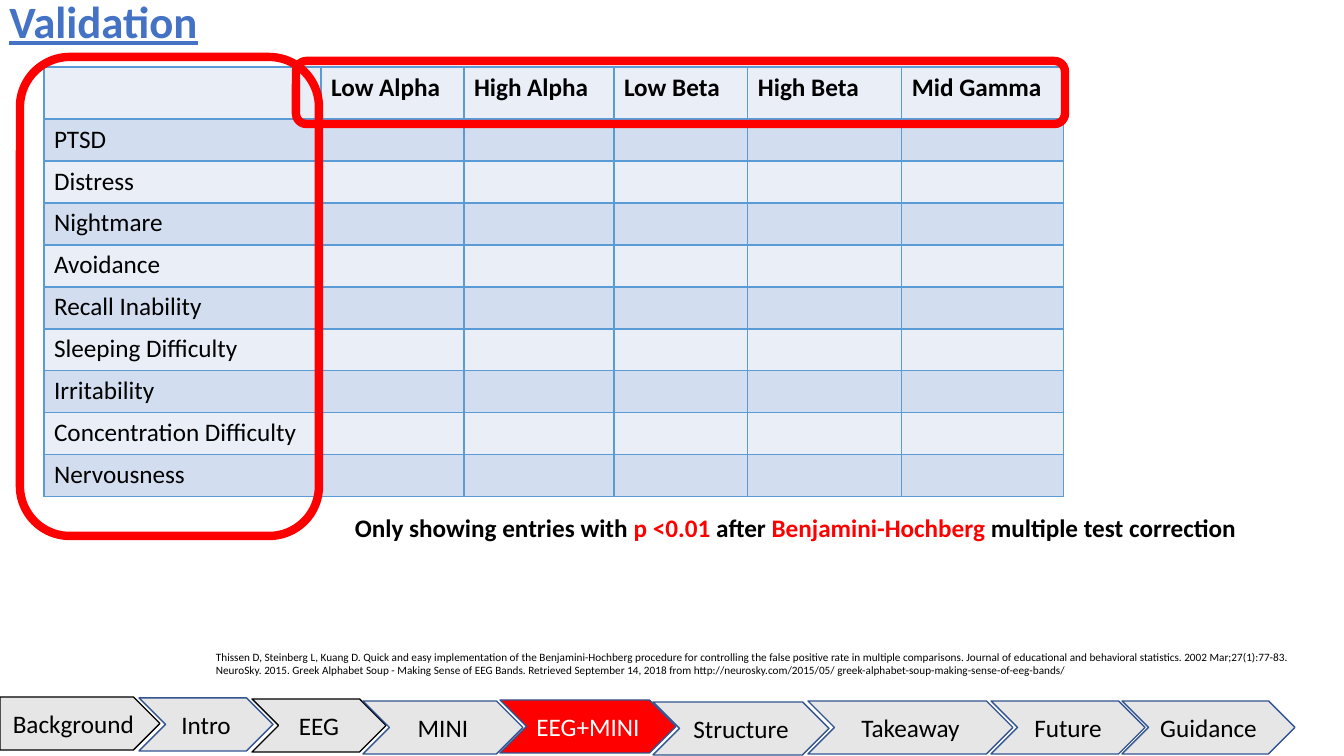
from lxml import etree
from pptx import Presentation
from pptx.dml.color import RGBColor
from pptx.enum.shapes import MSO_SHAPE
from pptx.enum.text import MSO_ANCHOR, PP_ALIGN
from pptx.oxml.ns import qn
from pptx.util import Pt

PX = 9071.43  # EMU in one px
CENTER, LEFT = PP_ALIGN.CENTER, PP_ALIGN.LEFT
MIDDLE = MSO_ANCHOR.MIDDLE
CHEVRON, PENTAGON = MSO_SHAPE.CHEVRON, MSO_SHAPE.PENTAGON
ROUNDED = MSO_SHAPE.ROUNDED_RECTANGLE
COLORS = {
    "black": "000000", "white": "FFFFFF", "red": "FF0000", "title": "4472C4",
    "light": "EAEFF7", "band": "D2DEEF", "grid": "5B9BD5",
    "step": "E7E6E6", "outline": "325491",
}


def px(*lengths):
    return [round(length * PX) for length in lengths]


def write(para, pieces, size, bold=False, align=LEFT):
    """Fill a paragraph with (text, color) pieces."""
    para.alignment = align
    for text, color in pieces:
        span = para.add_run()
        span.text = text
        span.font.name = "Calibri"
        span.font.size = Pt(size)
        span.font.bold = bold
        span.font.color.rgb = RGBColor.from_string(COLORS[color])


deck = Presentation()
deck.slide_width, deck.slide_height = px(1344, 756)
page = deck.slides.add_slide(deck.slide_layouts[6])

# Table of symptoms against frequency bands
bands = ["", "Low Alpha", "High Alpha", "Low Beta", "High Beta", "Mid Gamma"]
symptoms = ["PTSD", "Distress", "Nightmare", "Avoidance", "Recall Inability",
            "Sleeping Difficulty", "Irritability", "Concentration Difficulty",
            "Nervousness"]
column_widths = [277, 143, 150, 134, 154, 162]
row_heights = [52] + [42] * len(symptoms)
table = page.shapes.add_table(
    len(row_heights), len(bands),
    *px(44, 67, sum(column_widths), sum(row_heights))).table
table.first_row = table.horz_banding = False
for column, width in zip(table.columns, px(*column_widths)):
    column.width = width
for row, height in zip(table.rows, px(*row_heights)):
    row.height = height

rows = [bands] + [[symptom] + [""] * (len(bands) - 1) for symptom in symptoms]
for row_index, texts in enumerate(rows):
    for column_index, text in enumerate(texts):
        cell = table.cell(row_index, column_index)
        properties = cell._tc.get_or_add_tcPr()
        for side in ("lnL", "lnR", "lnT", "lnB"):
            border = etree.SubElement(properties, qn("a:" + side), w=str(Pt(1)))
            fill = etree.SubElement(border, qn("a:solidFill"))
            etree.SubElement(fill, qn("a:srgbClr"), val=COLORS["grid"])
        cell.fill.solid()
        cell.fill.fore_color.rgb = RGBColor.from_string(
            COLORS["band" if row_index % 2 else "light"])
        if text:
            write(cell.text_frame.paragraphs[0], [(text, "black")], 18,
                  bold=row_index == 0)

# Red frames around the header row and the symptom column
for frame_place in [(296, 61, 769, 63), (20, 57, 299, 479)]:
    frame = page.shapes.add_shape(ROUNDED, *px(*frame_place))
    frame.shadow.inherit = False
    frame.fill.background()
    frame.line.color.rgb = RGBColor.from_string(COLORS["red"])
    frame.line.width = Pt(6)

# Progress bar: label, left, top, width
steps = [
    ("Background", 0, 697, 160), ("Intro", 139, 698, 134),
    ("EEG", 252, 699, 134), ("MINI", 363, 701, 160),
    ("EEG+MINI", 500, 700, 176), ("Structure", 653, 702, 176),
    ("Takeaway", 808, 701, 205), ("Guidance", 1122, 701, 173),
    ("Future", 991, 701, 154),
]
for label, left, top, width in steps:
    preset = PENTAGON if label == "Background" else CHEVRON
    current = label == "EEG+MINI"
    outline = "black" if label in ("Background", "EEG") else "outline"
    step = page.shapes.add_shape(preset, *px(left, top, width, 53))
    step.shadow.inherit = False
    step.fill.solid()
    step.fill.fore_color.rgb = RGBColor.from_string(
        COLORS["red" if current else "step"])
    step.line.color.rgb = RGBColor.from_string(COLORS[outline])
    step.line.width = Pt(1)
    step.text_frame.word_wrap = False
    step.text_frame.vertical_anchor = MIDDLE
    write(step.text_frame.paragraphs[0],
          [(label, "white" if current else "black")], 18, align=CENTER)

# Title
title = page.shapes.add_textbox(*px(-2, -11, 211, 65))
title_para = title.text_frame.paragraphs[0]
write(title_para, [("Validation", "title")], 32, bold=True, align=CENTER)
title_para.runs[0].font.underline = True

# Note under the table
note = page.shapes.add_textbox(*px(345, 507, 909, 40))
write(note.text_frame.paragraphs[0], [
    ("Only showing entries with ", "black"), ("p <0.01 ", "red"),
    ("after ", "black"), ("Benjamini-Hochberg", "red"),
    (" multiple test correction", "black")], 18, bold=True)

# References
references = [
    "Thissen D, Steinberg L, Kuang D. Quick and easy implementation of the "
    "Benjamini-Hochberg procedure for controlling the false positive rate in "
    "multiple comparisons. Journal of educational and behavioral statistics. "
    "2002 Mar;27(1):77-83.",
    "NeuroSky. 2015. Greek Alphabet Soup - Making Sense of EEG Bands. "
    "Retrieved September 14, 2018 from http://neurosky.com/2015/05/ "
    "greek-alphabet-soup-making-sense-of-eeg-bands/",
]
sources = page.shapes.add_textbox(*px(206, 645, 1106, 37)).text_frame
for index, reference in enumerate(references):
    para = sources.add_paragraph() if index else sources.paragraphs[0]
    write(para, [(reference, "black")], 8)

deck.save("out.pptx")
